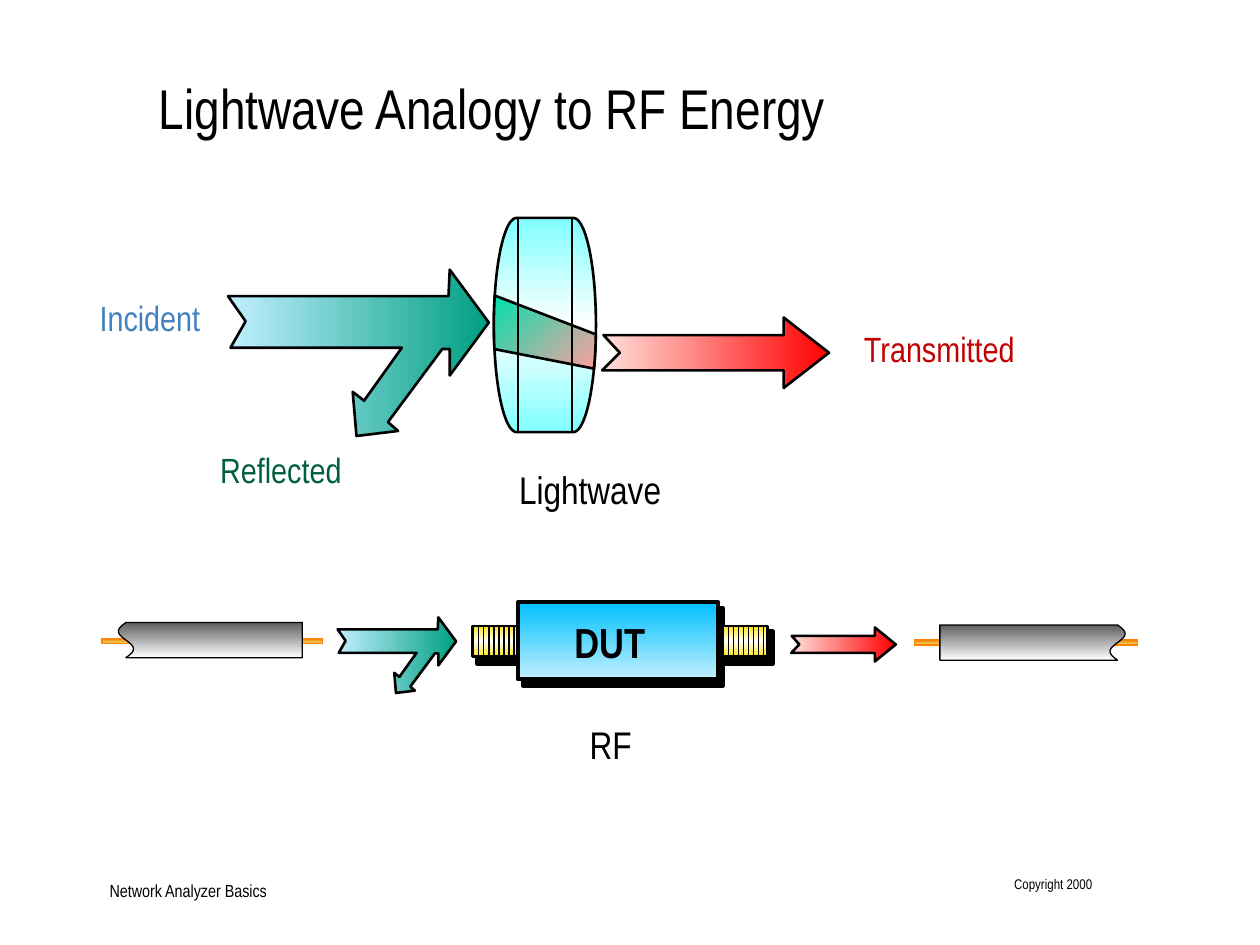
import math

import lxml.etree
import pptx
import pptx.dml.color
import pptx.enum.shapes
import pptx.enum.text
import pptx.oxml.ns
import pptx.util

Inches = pptx.util.Inches
Shape = pptx.enum.shapes.MSO_SHAPE
Align = pptx.enum.text.PP_ALIGN
Anchor = pptx.enum.text.MSO_ANCHOR

BLACK = "000000"
INCIDENT = ["C2EFFF", "009F82"]
TRANSMITTED = ["FFE1DC", "FF0000"]
METAL = ["5F5F5F", "FFFFFF"]
WIRE = ["FF8100", "E0E074"]
GLASS = ["80FFFF", "FFFFFF", "80FFFF"]
GOLD = ["FFE118", "FFFFFF", "FFE118"]

SPLIT_ARROW = [(0.14, 0.41), (0, 0.21), (1.75, 0.21), (1.76, 0), (2.07, 0.42),
               (1.76, 0.84), (1.76, 0.63), (1.7, 0.63), (1.27, 1.21),
               (1.35, 1.28), (1.02, 1.32), (0.99, 0.97), (1.08, 1.04),
               (1.38, 0.62), (0.02, 0.62)]
PLAIN_ARROW = [(0.14, 0.28), (0.01, 0.14), (1.44, 0.14), (1.44, 0), (1.8, 0.28),
               (1.44, 0.56), (1.44, 0.42), (0, 0.42)]


def color(value):
    return pptx.dml.color.RGBColor.from_string(value)


def style(shape, colors, line, width, angle=90):
    shape.shadow.inherit = False
    shape.line.color.rgb = color(line)
    shape.line.width = pptx.util.Pt(width)
    if isinstance(colors, str):
        shape.fill.solid()
        shape.fill.fore_color.rgb = color(colors)
        return
    shape.fill.gradient()
    shape.fill.gradient_angle = -angle % 360
    qn = pptx.oxml.ns.qn
    stops = next(shape._element.spPr.iter(qn("a:gsLst")))
    for stop in list(stops):
        stops.remove(stop)
    for index, value in enumerate(colors):
        position = 100000 * index // (len(colors) - 1)
        stop = lxml.etree.SubElement(stops, qn("a:gs"), pos=str(position))
        lxml.etree.SubElement(stop, qn("a:srgbClr"), val=value)


def add_outline(page, points, colors, width, angle=90):
    corners = [(Inches(x), Inches(y)) for x, y in points]
    builder = page.shapes.build_freeform(*corners[0], scale=1.0)
    builder.add_line_segments(corners[1:], close=True)
    shape = builder.convert_to_shape()
    style(shape, colors, BLACK, width, angle)


def add_block(page, box, colors, line, width, kind=Shape.RECTANGLE):
    shape = page.shapes.add_shape(kind, *map(Inches, box))
    style(shape, colors, line, width)
    return shape


def add_line(page, x, top, bottom, width):
    line = page.shapes.add_connector(
        pptx.enum.shapes.MSO_CONNECTOR.STRAIGHT,
        Inches(x), Inches(top), Inches(x), Inches(bottom))
    line.line.color.rgb = color(BLACK)
    line.line.width = pptx.util.Pt(width)
    lxml.etree.SubElement(line._element.spPr, pptx.oxml.ns.qn("a:effectLst"))


def write(page, text, box, size, ink=BLACK, align=Align.LEFT, anchor=Anchor.TOP,
          bold=False, wrap=True, inset=(0, 0), holder=None):
    holder = holder or page.shapes.add_textbox(0, 0, 0, 0)
    holder.left, holder.top, holder.width, holder.height = map(Inches, box)
    frame = holder.text_frame
    frame.word_wrap = wrap
    frame.auto_size = pptx.enum.text.MSO_AUTO_SIZE.NONE
    frame.vertical_anchor = anchor
    frame.margin_left = frame.margin_right = Inches(inset[0])
    frame.margin_top = frame.margin_bottom = Inches(inset[1])
    para = frame.paragraphs[0]
    para.alignment = align
    span = para.add_run()
    span.text = text
    span.font.name = "Arial Narrow"
    span.font.size = pptx.util.Pt(size)
    span.font.bold = bold
    span.font.color.rgb = color(ink)


def add_arrow(page, box, pattern, colors):
    left, top, width, height = box
    across = width / max(x for x, y in pattern)
    down = height / max(y for x, y in pattern)
    points = [(left + x * across, top + y * down) for x, y in pattern]
    add_outline(page, points, colors, 1.5, angle=0)


def arc(center, radii, start, end, steps):
    angles = [math.radians(start + (end - start) * i / steps) for i in range(steps + 1)]
    return [(center[0] + radii[0] * math.cos(a), center[1] + radii[1] * math.sin(a))
            for a in angles]


def add_lens(page, box):
    left, top, width, height = box
    radii = (0.18, height / 2)
    middle = top + height / 2
    left_center = (left + radii[0], middle)
    right_center = (left + width - radii[0], middle)
    rim = arc(left_center, radii, 270, 90, 40) + arc(right_center, radii, 90, -90, 40)
    add_outline(page, rim, GLASS, 1.5)
    beam = arc(left_center, radii, 196, 167, 8) + arc(right_center, radii, 24, 5, 8)
    add_outline(page, beam, ["00E1AD", "FF9F9F"], 1.5, angle=45)
    for x in (left + width - 0.19, left + 0.19):
        add_line(page, x, top, top + height, 1.5)


def add_cable(page, box, wire, torn_left):
    left, top, width, height = box
    add_block(page, wire, WIRE, WIRE[0], 0.75)
    wave = 0.06
    steps = 24
    points = [(left + wave * (1 - math.sin(2 * math.pi * i / steps)),
               top + height * i / steps) for i in range(steps + 1)]
    points += [(left + width, top + height), (left + width, top)]
    if not torn_left:
        points = [(2 * left + width - x, y) for x, y in points]
    add_outline(page, points, METAL, 0.75)


def add_thread(page, box):
    left, top, width, height = box
    thread = add_block(page, box, GOLD, BLACK, 1.5, Shape.ROUNDED_RECTANGLE)
    thread.adjustments[0] = 0
    for index in range(9):
        add_line(page, left + 0.01 + 0.04 * index, top, top + height, 0.75)


def add_device(page, box):
    left, top, width, height = box
    right = left + width
    for shadow in ((left + 0.04, top + 0.05, width, height),
                   (left - 0.32, top + 0.2, 0.36, 0.29),
                   (right + 0.04, top + 0.23, 0.39, 0.26)):
        add_block(page, shadow, BLACK, BLACK, 2.5)
    add_block(page, box, ["00BFFF", "C2EFFF"], BLACK, 2.5)
    for x in (right + 0.03, left - 0.36):
        add_thread(page, (x, top + 0.19, 0.36, 0.24))
    write(page, "DUT", (left + 0.35, top + 0.06, 0.89, 0.5), 24,
          bold=True, wrap=False, inset=(0.1, 0.05))


def add_lightwave(page):
    add_lens(page, (3.92, 1.73, 0.81, 1.7))
    add_arrow(page, (1.81, 2.14, 2.07, 1.32), SPLIT_ARROW, INCIDENT)
    add_arrow(page, (4.78, 2.52, 1.8, 0.56), PLAIN_ARROW, TRANSMITTED)
    for text, box, ink in (("Incident", (0.65, 2.38, 1.08, 0.31), "4181C0"),
                           ("Reflected", (1.6, 3.56, 1.26, 0.33), "00603C"),
                           ("Transmitted", (6.66, 2.62, 1.59, 0.31), "C20000")):
        write(page, text, box, 20, ink=ink, align=Align.CENTER, anchor=Anchor.BOTTOM)
    write(page, "Lightwave", (4.12, 3.7, 1.58, 0.38), 22)


def add_radio(page):
    add_cable(page, (7.46, 4.96, 1.47, 0.28), (7.26, 5.08, 1.77, 0.04), False)
    add_arrow(page, (2.68, 4.9, 0.94, 0.6), SPLIT_ARROW, INCIDENT)
    add_arrow(page, (6.28, 4.98, 0.83, 0.27), PLAIN_ARROW, TRANSMITTED)
    add_device(page, (4.11, 4.78, 1.59, 0.61))
    add_cable(page, (0.94, 4.94, 1.46, 0.28), (0.81, 5.07, 1.75, 0.04), True)
    write(page, "RF", (4.68, 5.72, 0.45, 0.37), 22)


def main():
    deck = pptx.Presentation()
    deck.slide_width, deck.slide_height = Inches(10), Inches(7.5)
    page = deck.slides.add_slide(deck.slide_layouts[5])
    write(page, "Lightwave Analogy to RF Energy", (1.26, 0.58, 9.38, 0.51), 32,
          holder=page.shapes.title)
    write(page, "Network Analyzer Basics", (0.87, 6.97, 2.67, 0.18), 10,
          anchor=Anchor.BOTTOM)
    write(page, "Copyright 2000", (8.03, 6.95, 0.64, 0.25), 8, align=Align.RIGHT)
    add_lightwave(page)
    add_radio(page)
    deck.save("out.pptx")


if __name__ == "__main__":
    main()
